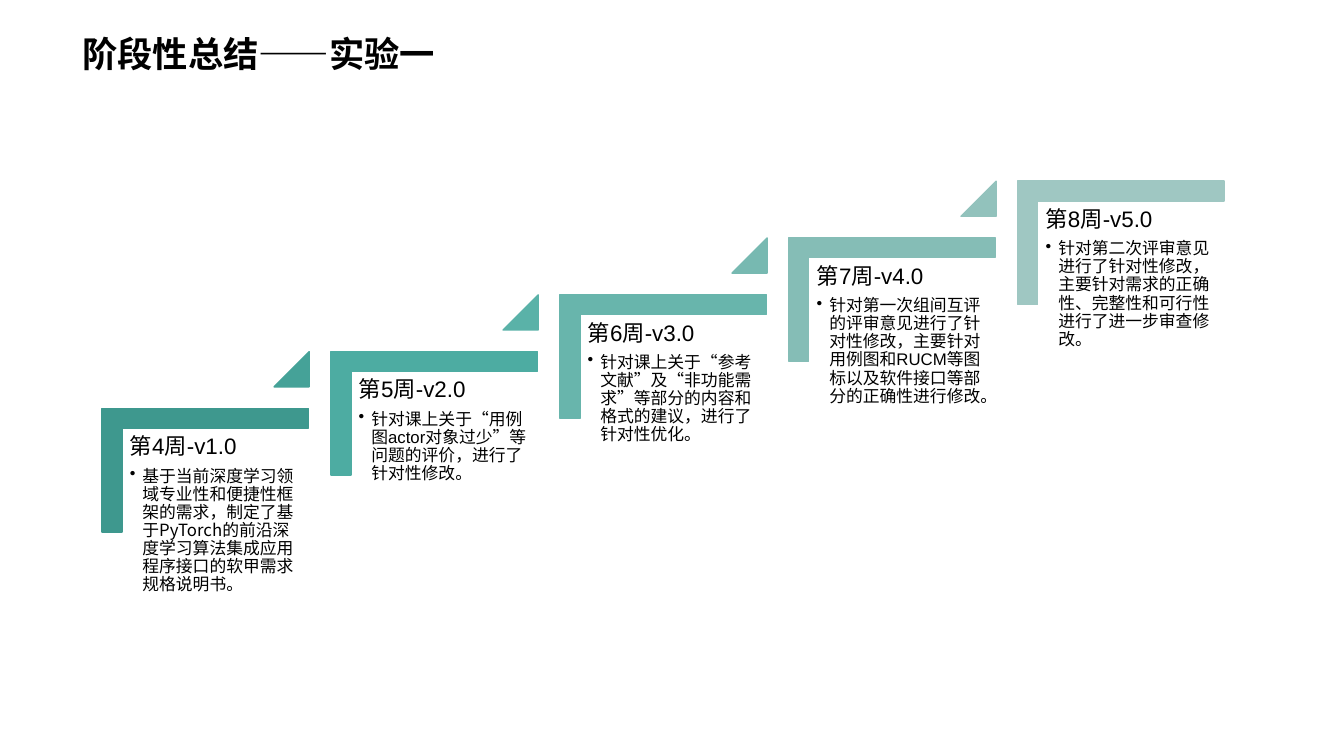
import pptx
import pptx.util
import pptx.dml.color
import pptx.enum.lang
import pptx.enum.shapes
import pptx.enum.text
import pptx.oxml
import pptx.oxml.ns

Pt = pptx.util.Pt
Shape = pptx.enum.shapes.MSO_SHAPE
Anchor = pptx.enum.text.MSO_ANCHOR
LATIN, CJK = "Arial", "Noto Sans CJK SC"

TITLE = "阶段性总结——实验一"
STEPS = [
    ("第4周-v1.0", "3E988E", "45A298",
     [("基于当前深度学习领域专业性和便捷性框架的需求，制定了基", LATIN),
      ("于PyTorch", CJK),
      ("的前沿深度学习算法集成应用程序接口的软甲需求规格说明书。", LATIN)]),
    ("第5周-v2.0", "4DACA2", "5AB2A8",
     [("针对课上关于“用例图actor对象过少”等问题的评价，进行了针对性修改。", LATIN)]),
    ("第6周-v3.0", "68B5AC", "77B9B1",
     [("针对课上关于“参考文献”及“非功能需求”等部分的内容和格式的建议，进行了针对性优化。", LATIN)]),
    ("第7周-v4.0", "85BDB6", "92C2BC",
     [("针对第一次组间互评的评审意见进行了针对性修改，主要针对用例图和RUCM等图标以及软件接口等部分的正确性进行修改。", LATIN)]),
    ("第8周-v5.0", "9FC7C2", None,
     [("针对第二次评审意见进行了针对性修改，主要针对需求的正确性、完整性和可行性进行了进一步审查修改。", LATIN)]),
]
RUN, RISE = 163.55, 40.6
BEND = (102.3, 262.1, 88.4, 147.4)
LABEL = (87.7, 306.1, 133.1, 117)
WEDGE = (195.8, 251.2, 25.1, 25.1)


def color(code):
    return pptx.dml.color.RGBColor.from_string(code)


def place(box, step):
    x, y, w, h = box
    return [Pt(v) for v in (x + step * RUN, y - step * RISE, w, h)]


def add_part(slide, kind, box, code, adjust):
    part = slide.shapes.add_shape(kind, *box)
    part.shadow.inherit = False
    part.fill.solid()
    part.fill.fore_color.rgb = color(code)
    part.line.color.rgb = color(code)
    part.line.width = Pt(1)
    for i, value in enumerate(adjust):
        part.adjustments[i] = value
    return part


def add_frame(slide, box, inset, anchor):
    frame = slide.shapes.add_textbox(*box).text_frame
    frame.word_wrap = True
    frame.vertical_anchor = anchor
    frame.margin_left = frame.margin_right = Pt(inset)
    frame.margin_top = frame.margin_bottom = Pt(inset)
    return frame


def add_run(para, text, size, face=LATIN, bold=False):
    para.line_spacing = 0.9
    run = para.add_run()
    run.text = text
    font = run.font
    font.name, font.size, font.bold = face, Pt(size), bold
    font.color.rgb = color("000000")
    font.language_id = pptx.enum.lang.MSO_LANGUAGE_ID.SIMPLIFIED_CHINESE
    east = pptx.oxml.parse_xml(
        f'<a:ea {pptx.oxml.ns.nsdecls("a")} typeface="{CJK}"/>')
    run.font._element.find(pptx.oxml.ns.qn("a:latin")).addnext(east)


def add_bullet(para):
    props = para._p.get_or_add_pPr()
    props.set("marL", str(Pt(9)))
    props.set("indent", str(-Pt(9)))
    props.append(pptx.oxml.parse_xml(
        f'<a:buChar {pptx.oxml.ns.nsdecls("a")} char="•"/>'))


def add_step(slide, step, head, code, tip, parts):
    bend = add_part(slide, Shape.CORNER, place(BEND, step), code, (0.161, 0.161))
    bend.rotation = 90
    frame = add_frame(slide, place(LABEL, step), 5, Anchor.TOP)
    top = frame.paragraphs[0]
    add_run(top, head, 16)
    top.space_after = Pt(5.6)
    item = frame.add_paragraph()
    add_bullet(item)
    for text, face in parts:
        add_run(item, text, 12, face)
    item.space_after = Pt(1.8)
    if tip:
        add_part(slide, Shape.ISOSCELES_TRIANGLE, place(WEDGE, step), tip, (1,))


def main():
    deck = pptx.Presentation()
    deck.slide_width, deck.slide_height = Pt(960), Pt(540)
    slide = deck.slides.add_slide(deck.slide_layouts[6])
    title = add_frame(slide, place((51.8, 15, 850, 50), 0), 7.2, Anchor.MIDDLE)
    add_run(title.paragraphs[0], TITLE, 25.2, bold=True)
    for step, row in enumerate(STEPS):
        add_step(slide, step, *row)
    deck.save("out.pptx")


if __name__ == "__main__":
    main()
